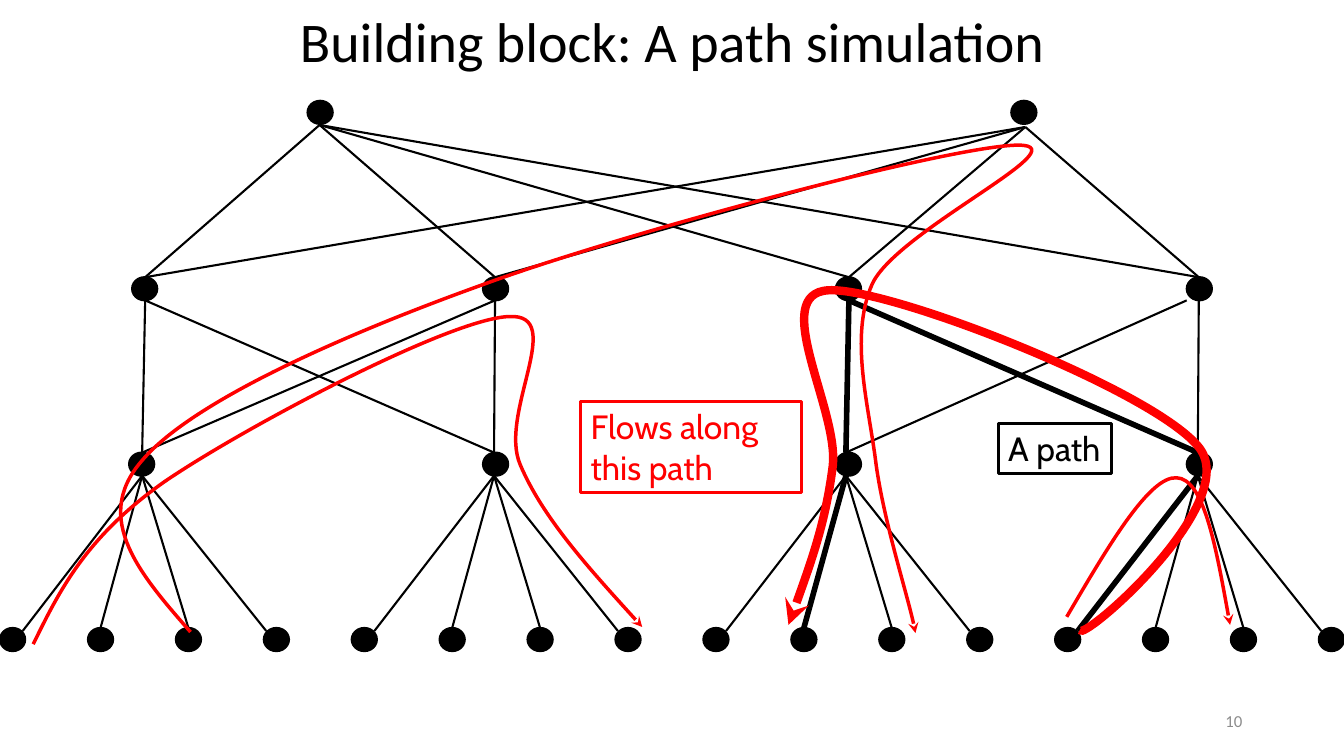
from dataclasses import dataclass

import pptx
import pptx.dml.color
import pptx.enum.shapes
import pptx.enum.text
import pptx.oxml
import pptx.oxml.ns
import pptx.util
from pptx.util import Inches

BLACK, RED, WHITE, GREY = "000000", "FF0000", "FFFFFF", "8C8C8C"
THIN, THICK = 1.5, 4

# Tree rows: tops of the nodes
NODE_WIDTH, NODE_HEIGHT = 0.25, 0.23
CORE_TOP, SPINE_TOP, POD_TOP, LEAF_TOP = 1, 2.75, 4.49, 6.23
CORE_LEFTS = [3.05, 10.03]
SPINE_LEFTS = [1.31, 4.79, 8.29, 11.77]
POD_LEFTS = [1.28, 4.79, 8.29, 11.77]
LEAVES_PER_POD = 4
LEAF_STEP = 13.08 / 15
LEAF_LEFTS = [index * LEAF_STEP for index in range(16)]

# Points where the links meet the nodes
CORE_FEET = [(3.17, 1.24), (10.17, 1.26)]
SPINE_CENTRES = [1.44, 4.91, 8.42, 11.89]
POD_CENTRES = [1.41, 4.9, 8.39, 11.88]
LEAF_INSET = 0.1

# Links of the path: (spine, pod) and (pod, leaf)
PATH_SPINE_LINKS = {(2, 2), (2, 3)}
PATH_LEAF_LINKS = {(2, 9), (3, 12)}


@dataclass
class Flow:
    start: tuple[float, float]
    curves: list[tuple[float, ...]]
    width: float = 2.5
    arrow: str = "tailEnd"


@dataclass
class Label:
    text: str
    left: float
    top: float
    width: float
    height: float
    color: str
    wrap: bool


FLOWS = [
    Flow((0.33, 6.39), [
        (0.59, 5.86, 0.85, 5.33, 1.63, 4.78),
        (2.42, 4.24, 4.46, 3.16, 5.05, 3.14),
        (5.63, 3.11, 4.94, 4.1, 5.16, 4.61),
        (5.38, 5.13, 5.87, 5.67, 6.37, 6.22)]),
    Flow((1.89, 6.27), [
        (1.4, 5.71, 0.91, 5.15, 1.4, 4.58),
        (1.88, 4, 3.35, 3.34, 4.8, 2.82),
        (6.25, 2.29, 9.46, 1.44, 10.1, 1.44),
        (10.74, 1.44, 8.89, 2.29, 8.65, 2.82),
        (8.42, 3.35, 8.62, 4.03, 8.69, 4.61),
        (8.77, 5.18, 9.03, 5.99, 9.08, 6.28)]),
    Flow((10.58, 6.12), [
        (10.99, 5.42, 11.4, 4.72, 11.67, 4.74),
        (11.94, 4.75, 12.07, 5.48, 12.2, 6.2)]),
]
PATH_FLOW = Flow((7.82, 6.2), [
    (8.01, 5.68, 8.19, 5.17, 8.26, 4.62),
    (8.32, 4.06, 7.62, 2.91, 8.22, 2.88),
    (8.83, 2.85, 11.48, 3.89, 11.9, 4.45),
    (12.31, 5.01, 10.71, 6.39, 10.71, 6.25)], 6, "headEnd")
LABELS = [
    Label("A path", 9.9, 4.2, 1.12, 0.5, BLACK, False),
    Label("Flows along this path", 5.76, 3.98, 2.19, 0.91, RED, True),
]


def rgb(color: str) -> pptx.dml.color.RGBColor:
    return pptx.dml.color.RGBColor.from_string(color)


def paint_line(shape, color: str, width: float) -> None:
    shape.line.color.rgb = rgb(color)
    shape.line.width = pptx.util.Pt(width)


def paint_fill(shape, color: str) -> None:
    shape.fill.solid()
    shape.fill.fore_color.rgb = rgb(color)
    shape.shadow.inherit = False


def write(shape, text: str, size: float, font: str, color: str, align: str) -> None:
    shape.text_frame.text = text
    para = shape.text_frame.paragraphs[0]
    para.alignment = pptx.enum.text.PP_ALIGN[align]
    span = para.runs[0]
    span.font.size = pptx.util.Pt(size)
    span.font.name = font
    span.font.color.rgb = rgb(color)


def place(shape, left: float, top: float, width: float, height: float) -> None:
    shape.left, shape.top = Inches(left), Inches(top)
    shape.width, shape.height = Inches(width), Inches(height)


def add_node(page, left: float, top: float) -> None:
    node = page.shapes.add_shape(
        pptx.enum.shapes.MSO_SHAPE.OVAL, Inches(left), Inches(top),
        Inches(NODE_WIDTH), Inches(NODE_HEIGHT))
    paint_fill(node, BLACK)
    paint_line(node, BLACK, THIN)


def add_link(page, x1: float, y1: float, x2: float, y2: float, width: float = THIN) -> None:
    link = page.shapes.add_connector(
        pptx.enum.shapes.MSO_CONNECTOR.STRAIGHT,
        Inches(x1), Inches(y1), Inches(x2), Inches(y2))
    paint_line(link, BLACK, width)
    pptx.oxml.ns.qn("a:effectLst")
    link._element.spPr.append(pptx.oxml.parse_xml(
        f"<a:effectLst {pptx.oxml.ns.nsdecls('a')}/>"))


def add_flow(page, flow: Flow) -> None:
    builder = page.shapes.build_freeform(Inches(flow.start[0]), Inches(flow.start[1]))
    builder.add_line_segments(
        [(Inches(curve[4]), Inches(curve[5])) for curve in flow.curves], close=False)
    shape = builder.convert_to_shape()
    shape.fill.background()
    shape.shadow.inherit = False
    paint_line(shape, RED, flow.width)
    names = pptx.oxml.ns.nsdecls("a")

    # Bend each straight segment into a cubic curve
    segments = list(shape._element.iter(pptx.oxml.ns.qn("a:lnTo")))
    for segment, curve in zip(segments, flow.curves):
        points = "".join(
            f'<a:pt x="{Inches(x) - shape.left}" y="{Inches(y) - shape.top}"/>'
            for x, y in zip(curve[::2], curve[1::2]))
        segment.getparent().replace(segment, pptx.oxml.parse_xml(
            f"<a:cubicBezTo {names}>{points}</a:cubicBezTo>"))
    shape.line._get_or_add_ln().append(pptx.oxml.parse_xml(
        f'<a:{flow.arrow} {names} type="stealth"/>'))


def add_label(page, label: Label) -> None:
    box = page.shapes.add_shape(
        pptx.enum.shapes.MSO_SHAPE.RECTANGLE, Inches(label.left), Inches(label.top),
        Inches(label.width), Inches(label.height))
    paint_fill(box, WHITE)
    paint_line(box, label.color, 2.25)
    box.text_frame.word_wrap = label.wrap
    box.text_frame.vertical_anchor = pptx.enum.text.MSO_ANCHOR.TOP
    write(box, label.text, 24, "Cabin", label.color, "LEFT")


def add_tree(page) -> None:
    rows = [(CORE_LEFTS, CORE_TOP), (SPINE_LEFTS, SPINE_TOP),
            (POD_LEFTS, POD_TOP), (LEAF_LEFTS, LEAF_TOP)]
    for lefts, top in rows:
        for left in lefts:
            add_node(page, left, top)

    # Every core node meets every spine node
    for foot in CORE_FEET:
        for centre in SPINE_CENTRES:
            add_link(page, *foot, centre, SPINE_TOP)

    # Spine and pod nodes are fully linked within each half
    for spine, spine_x in enumerate(SPINE_CENTRES):
        for pod in (0, 1) if spine < 2 else (2, 3):
            start_x = SPINE_LEFTS[3] if (spine, pod) == (3, 2) else spine_x
            add_link(page, start_x, SPINE_TOP + NODE_HEIGHT, POD_CENTRES[pod], POD_TOP,
                     THICK if (spine, pod) in PATH_SPINE_LINKS else THIN)

    # Each pod node fans out to its leaves; outer links end nearer the pod
    for leaf, left in enumerate(LEAF_LEFTS):
        pod, place_in_pod = divmod(leaf, LEAVES_PER_POD)
        shift = {0: LEAF_INSET, LEAVES_PER_POD - 1: -LEAF_INSET}.get(place_in_pod, 0)
        add_link(page, POD_CENTRES[pod], POD_TOP + NODE_HEIGHT,
                 left + NODE_WIDTH / 2 + shift, LEAF_TOP + abs(shift) * 0.3,
                 THICK if (pod, leaf) in PATH_LEAF_LINKS else THIN)


def main() -> None:
    deck = pptx.Presentation()
    deck.slide_width, deck.slide_height = Inches(13.33), Inches(7.5)
    page = deck.slides.add_slide(deck.slide_layouts[5])

    # Title and page number
    title = page.shapes.title
    place(title, 0, 0.01, 13.33, 0.77)
    title.text_frame.auto_size = pptx.enum.text.MSO_AUTO_SIZE.NONE
    write(title, "Building block: A path simulation", 40, "Calibri", BLACK, "CENTER")
    number = page.shapes.add_textbox(Inches(9.42), Inches(6.95), Inches(3), Inches(0.4))
    number.text_frame.word_wrap = True
    number.text_frame.vertical_anchor = pptx.enum.text.MSO_ANCHOR.MIDDLE
    write(number, "10", 12, "Calibri", GREY, "RIGHT")

    # Tree, flows and labels
    add_tree(page)
    for flow in FLOWS:
        add_flow(page, flow)
    for label in LABELS:
        add_label(page, label)
    add_flow(page, PATH_FLOW)

    deck.save("out.pptx")


if __name__ == "__main__":
    main()
